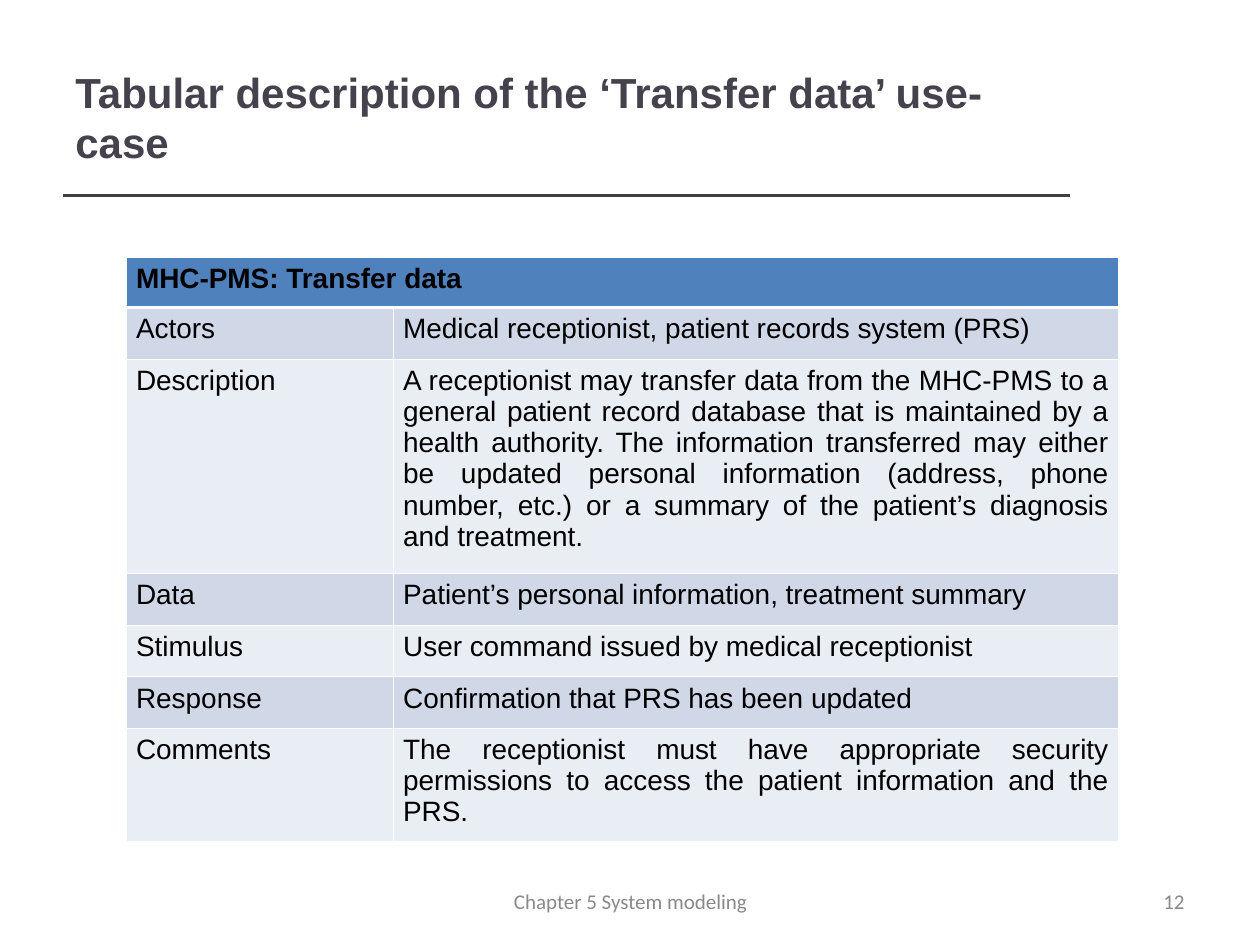
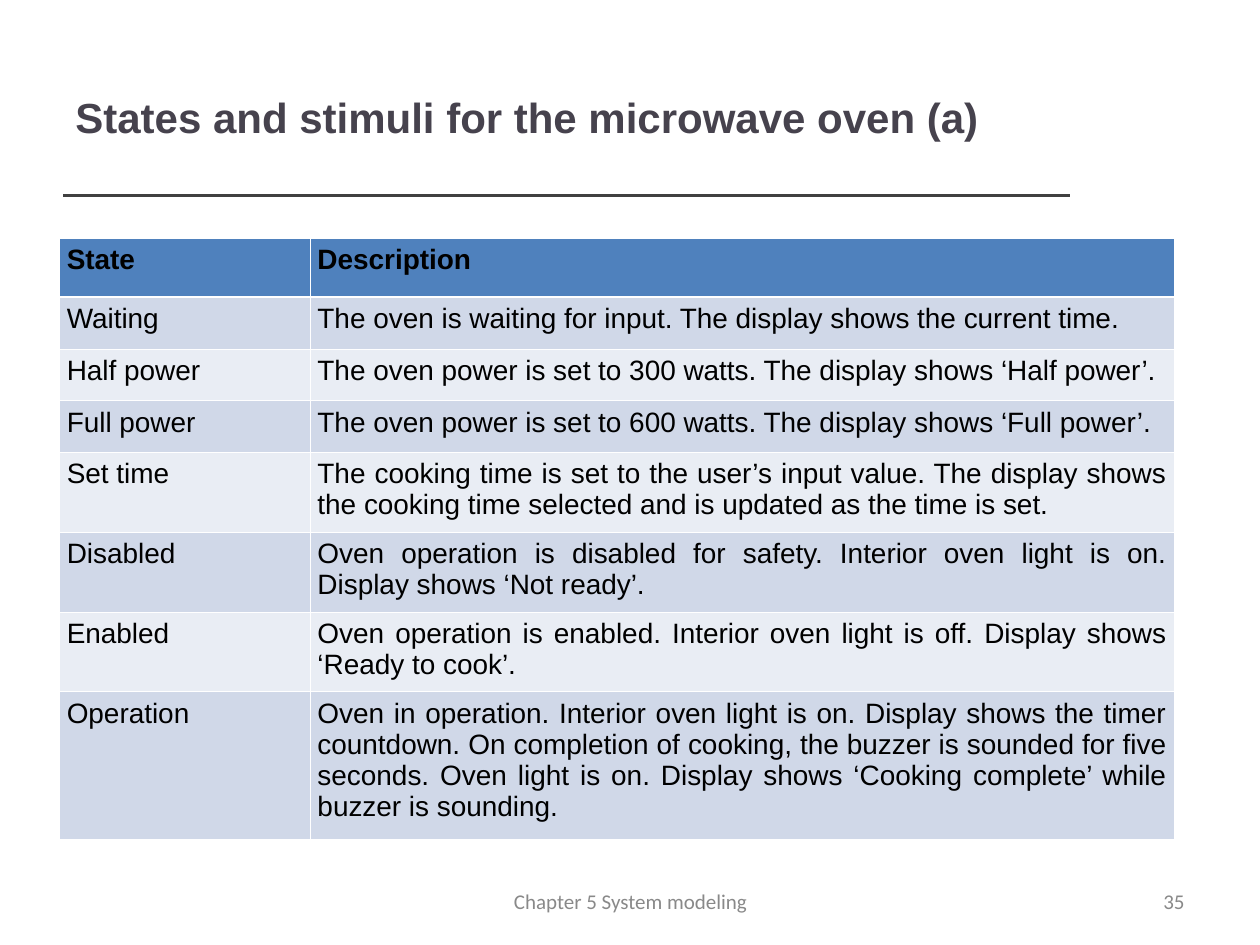
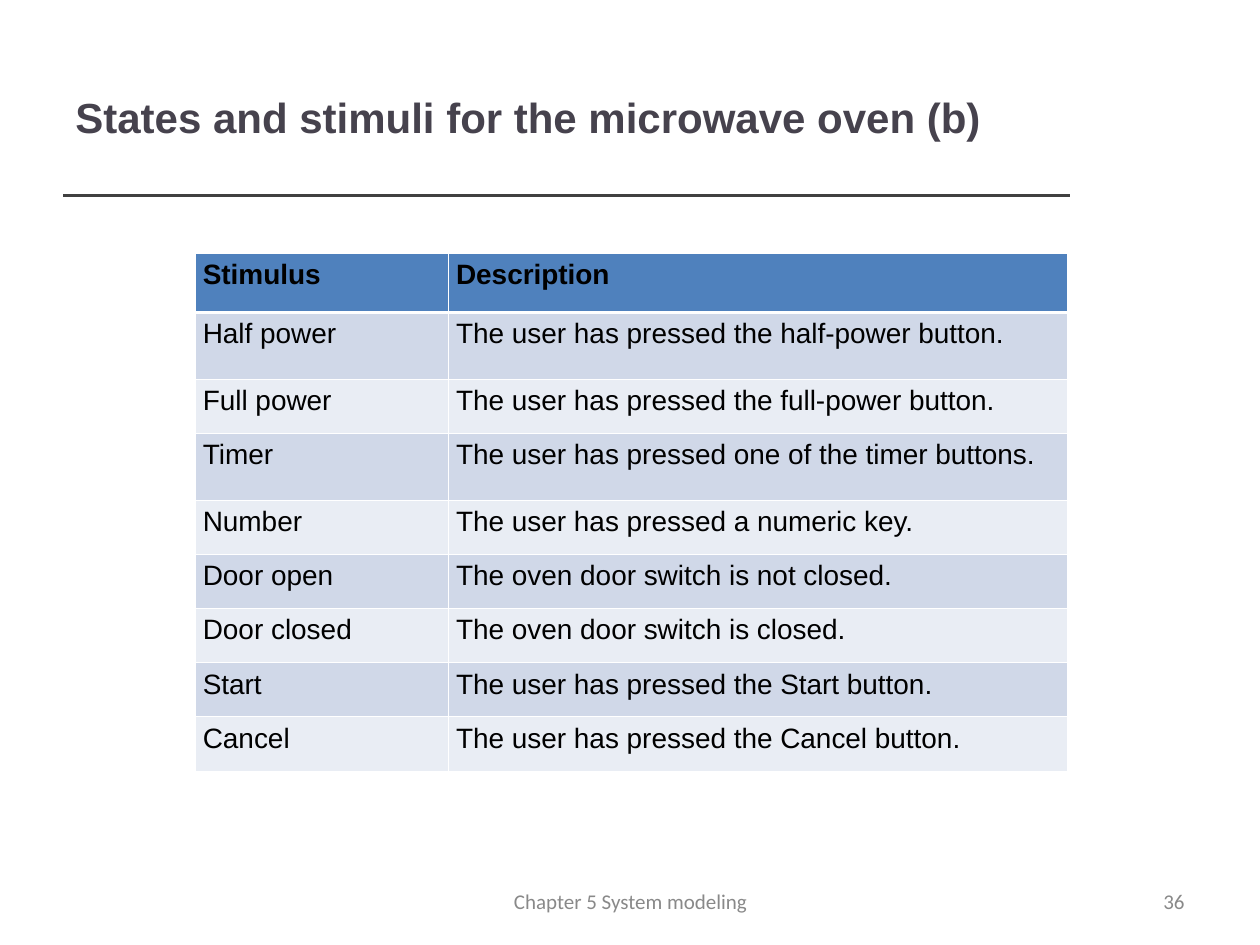
from dataclasses import dataclass

from pptx import Presentation
from pptx import util as u
from pptx.dml.color import RGBColor
from pptx.enum import shapes, text
from pptx.oxml import parse_xml
from pptx.oxml.ns import nsdecls

# The slide is a grid of 100 columns by 75 rows
WIDE, HIGH = u.Inches(10), u.Inches(7.5)
COLS, ROWS = 100, 75


@dataclass(frozen=True)
class Theme:
    head: str = "Arial"
    foot: str = "Calibri"
    title: int = 24
    body: int = 16
    small: int = 12
    ink: str = "46424D"
    black: str = "000000"
    grey: str = "898989"
    rule: str = "404040"
    white: str = "FFFFFF"
    top: str = "4F81BD"
    bands: tuple[str, str] = ("D0D8E8", "E9EDF4")
    thin: float = 0.45
    thick: float = 1.47


@dataclass(frozen=True)
class Box:
    x: float
    y: float
    w: float
    h: float


@dataclass(frozen=True)
class Style:
    font: str
    size: int
    color: str
    bold: bool = False
    align: text.PP_ALIGN = text.PP_ALIGN.LEFT


@dataclass(frozen=True)
class Grid:
    x: float
    y: float
    cols: tuple[float, ...]
    rows: tuple[float, ...]
    pad: float
    cells: tuple[tuple[str, ...], ...]


@dataclass(frozen=True)
class Page:
    title: str
    number: int
    grid: Grid


T = Theme()
JUST = text.PP_ALIGN.JUSTIFY
TITLE = Style(T.head, T.title, T.ink, True)
HEAD = Style(T.head, T.body, T.black, True, JUST)
BODY = Style(T.head, T.body, T.black, False, JUST)
FOOT = Style(T.foot, T.small, T.grey, align=text.PP_ALIGN.CENTER)
PAGE = Style(T.foot, T.small, T.grey, align=text.PP_ALIGN.RIGHT)

PAGES = (
    Page("Tabular description of the ‘Transfer data’ use-case", 12, Grid(
        10, 20.4, (21.2, 57.6), (4, 4.1, 16, 4.1, 4.1, 4.1, 8), 0.8, (
            ("MHC-PMS: Transfer data",),
            ("Actors", "Medical receptionist, patient records system (PRS)"),
            ("Description",
             "A receptionist may transfer data from the MHC-PMS to a general "
             "patient record database that is maintained by a health authority. "
             "The information transferred may either be updated personal "
             "information (address, phone number, etc.) or a summary of the "
             "patient’s diagnosis and treatment."),
            ("Data", "Patient’s personal information, treatment summary"),
            ("Stimulus", "User command issued by medical receptionist"),
            ("Response", "Confirmation that PRS has been updated"),
            ("Comments",
             "The receptionist must have appropriate security permissions to "
             "access the patient information and the PRS."),
        ))),
    Page("States and stimuli for the microwave oven (a)", 35, Grid(
        4.7, 18.9, (19.9, 68.6), (4.7, 4.1, 4.1, 4.1, 6.3, 6.3, 6.3, 11.7), 0.6, (
            ("State", "Description"),
            ("Waiting",
             "The oven is waiting for input. The display shows the current time."),
            ("Half power",
             "The oven power is set to 300 watts. The display shows ‘Half power’."),
            ("Full power",
             "The oven power is set to 600 watts. The display shows ‘Full power’."),
            ("Set time",
             "The cooking time is set to the user’s input value. The display "
             "shows the cooking time selected and is updated as the time is set."),
            ("Disabled",
             "Oven operation is disabled for safety. Interior oven light is on. "
             "Display shows ‘Not ready’."),
            ("Enabled",
             "Oven operation is enabled. Interior oven light is off. Display "
             "shows ‘Ready to cook’."),
            ("Operation",
             "Oven in operation. Interior oven light is on. Display shows the "
             "timer countdown. On completion of cooking, the buzzer is sounded "
             "for five seconds. Oven light is on. Display shows ‘Cooking "
             "complete’ while buzzer is sounding."),
        ))),
    Page("States and stimuli for the microwave oven (b)", 36, Grid(
        15.5, 20.1, (20.1, 49.1), (4.7, 5.3, 4.3, 5.3) + (4.3,) * 5, 0.6, (
            ("Stimulus", "Description"),
            ("Half power", "The user has pressed the half-power button."),
            ("Full power", "The user has pressed the full-power button."),
            ("Timer", "The user has pressed one of the timer buttons."),
            ("Number", "The user has pressed a numeric key."),
            ("Door open", "The oven door switch is not closed."),
            ("Door closed", "The oven door switch is closed."),
            ("Start", "The user has pressed the Start button."),
            ("Cancel", "The user has pressed the Cancel button."),
        ))),
)


def across(n: float) -> int:
    return round(WIDE * n / COLS)


def down(n: float) -> int:
    return round(HIGH * n / ROWS)


def write(frame, words: str, style: Style) -> None:
    para = frame.paragraphs[0]
    para.text = words
    para.alignment = style.align
    font = para.font
    font.name, font.size, font.bold = style.font, u.Pt(style.size), style.bold
    font.color.rgb = RGBColor.from_string(style.color)


def label(slide, box: Box, words: str, style: Style) -> None:
    shape = slide.shapes.add_textbox(
        across(box.x), down(box.y), across(box.w), down(box.h))
    frame = shape.text_frame
    frame.word_wrap = True
    frame.vertical_anchor = text.MSO_ANCHOR.MIDDLE
    write(frame, words, style)


def rule(slide, x: float, y: float, end: float) -> None:
    line = slide.shapes.add_connector(
        shapes.MSO_CONNECTOR.STRAIGHT, across(x), down(y), across(end), down(y))
    line.line.color.rgb = RGBColor.from_string(T.rule)
    line.line.width = u.Pt(2)
    line._element.spPr.append(parse_xml(f"<a:effectLst {nsdecls('a')}/>"))


def edge(cell, row: int) -> None:
    """White borders, heavier between the heading and the first band."""
    props = cell._tc.get_or_add_tcPr()
    heavy = {0: "B", 1: "T"}.get(row)
    for side in "LRTB":
        width = u.Pt(T.thick if side == heavy else T.thin)
        props.append(parse_xml(
            f'<a:ln{side} {nsdecls("a")} w="{width}"><a:solidFill>'
            f'<a:srgbClr val="{T.white}"/></a:solidFill></a:ln{side}>'))


def table(slide, grid: Grid) -> None:
    tab = slide.shapes.add_table(
        len(grid.rows), len(grid.cols), across(grid.x), down(grid.y),
        across(sum(grid.cols)), down(sum(grid.rows))).table
    for col, width in zip(tab.columns, grid.cols):
        col.width = across(width)
    for r, (row, height, words) in enumerate(zip(tab.rows, grid.rows, grid.cells)):
        row.height = down(height)
        for cell in row.cells:
            edge(cell, r)
            cell.fill.solid()
            cell.fill.fore_color.rgb = RGBColor.from_string(
                T.bands[(r - 1) % 2] if r else T.top)
            cell.margin_left = cell.margin_right = across(grid.pad)
        for cell, item in zip(row.cells, words):
            write(cell.text_frame, item, BODY if r else HEAD)
        # A lone entry spans the whole row
        if len(words) < len(grid.cols):
            tab.cell(r, 0).merge(tab.cell(r, len(grid.cols) - 1))


def build(deck, page: Page) -> None:
    slide = deck.slides.add_slide(deck.slide_layouts[6])
    rule(slide, 5, 15.5, 84.9)
    label(slide, Box(5, 3, 79.8, 12.5), page.title, TITLE)
    table(slide, page.grid)
    label(slide, Box(71.7, 69.5, 23.3, 4), str(page.number), PAGE)
    label(slide, Box(34.2, 69.5, 31.7, 4), "Chapter 5 System modeling", FOOT)


def main() -> None:
    deck = Presentation()
    deck.slide_width, deck.slide_height = WIDE, HIGH
    for page in PAGES:
        build(deck, page)
    deck.save("out.pptx")


if __name__ == "__main__":
    main()
